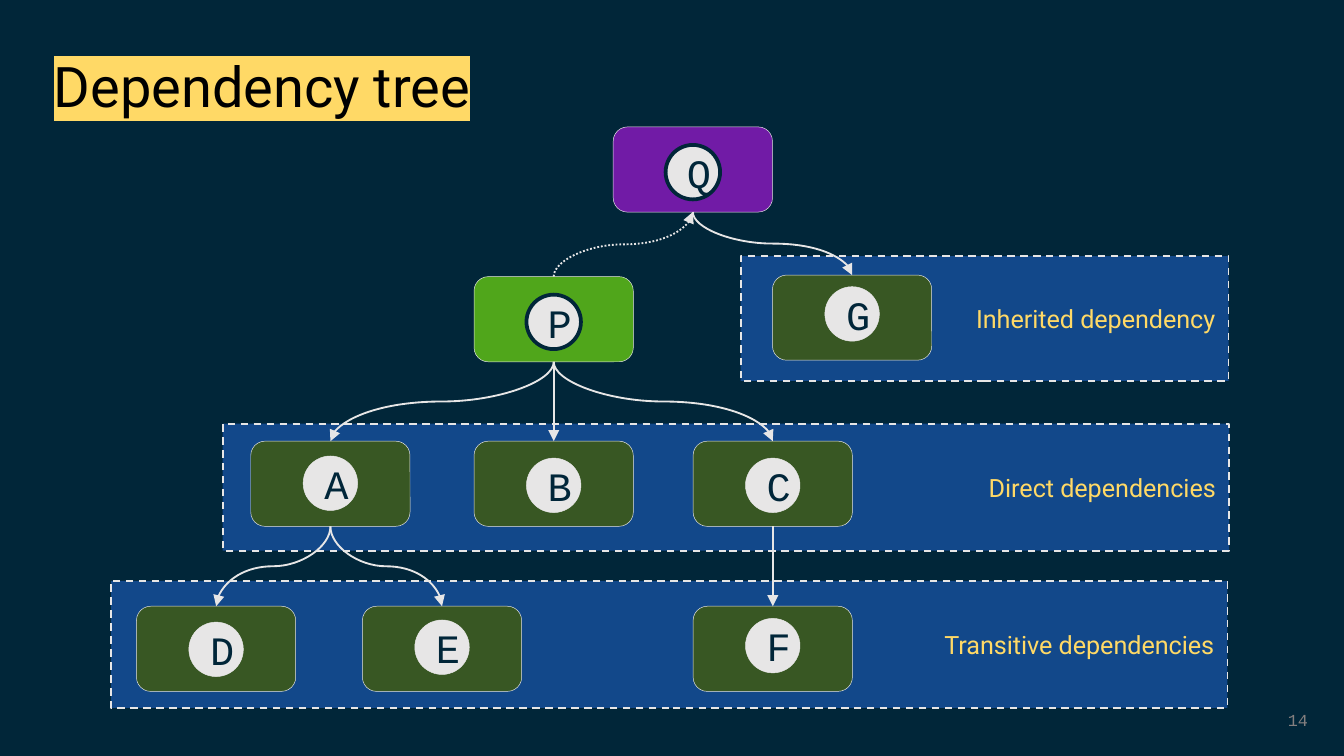
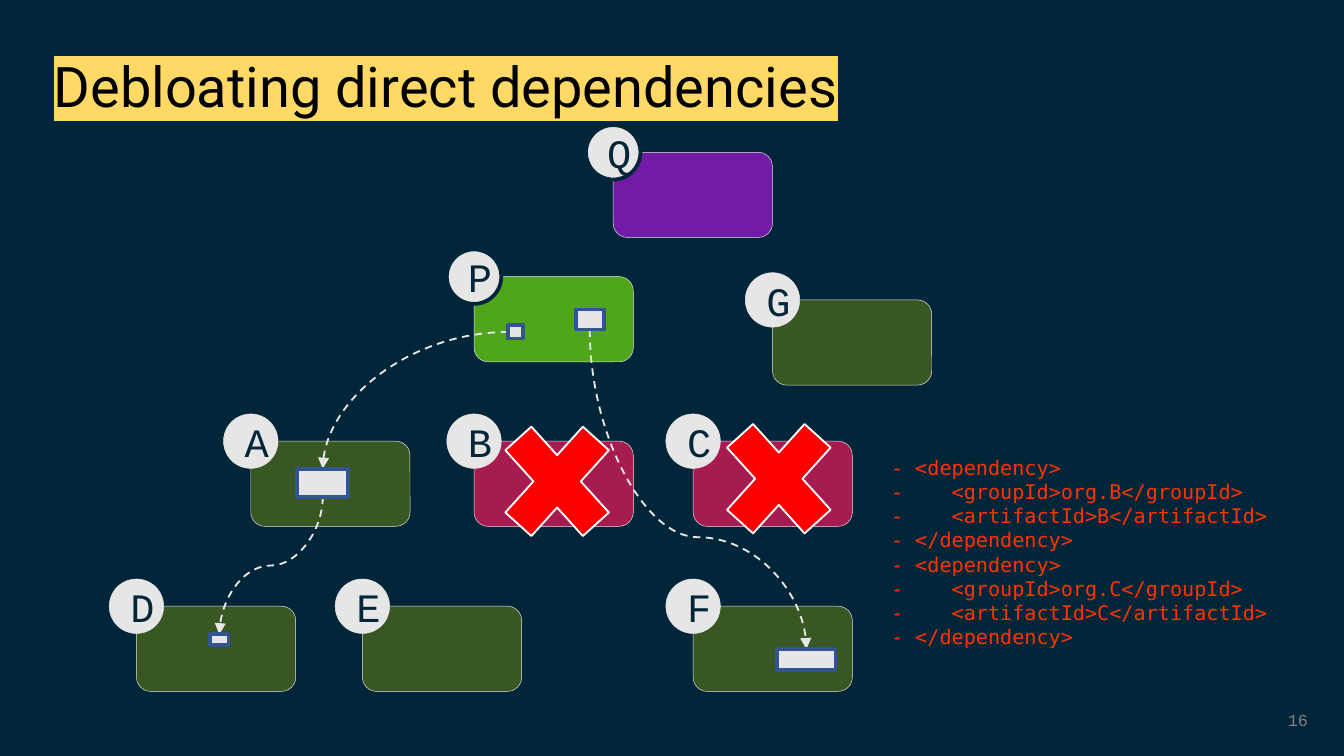
from dataclasses import dataclass, replace

from lxml.etree import SubElement
from pptx import Presentation
from pptx.dml.color import RGBColor
from pptx.enum.dml import MSO_LINE
from pptx.enum.shapes import MSO_CONNECTOR, MSO_SHAPE
from pptx.enum.text import MSO_ANCHOR, MSO_AUTO_SIZE, PP_ALIGN
from pptx.oxml.ns import qn
from pptx.util import Cm, Pt

NAVY = RGBColor(0x01, 0x26, 0x39)
BAND_BLUE = RGBColor(0x19, 0x54, 0xA6)
FRAME_BLUE = RGBColor(0x32, 0x54, 0x91)
LIGHT = RGBColor(0xE7, 0xE6, 0xE6)
YELLOW = RGBColor(0xFF, 0xD9, 0x66)
GREY = RGBColor(0x84, 0x7F, 0x7F)
BLACK = RGBColor(0x00, 0x00, 0x00)
WHITE = RGBColor(0xFF, 0xFF, 0xFF)
RED = RGBColor(0xFF, 0x00, 0x00)
CODE_RED = RGBColor(0xFF, 0x33, 0x00)
PURPLE = RGBColor(0x71, 0x1B, 0xA6)
GREEN = RGBColor(0x50, 0xA6, 0x1B)
OLIVE = RGBColor(0x38, 0x57, 0x23)
CRIMSON = RGBColor(0xA6, 0x1B, 0x50)

SANS = "Roboto"
MONO = "Courier New"
CODE = "DejaVu Sans Mono"
CARD_WIDTH, CARD_HEIGHT = 3.01, 1.61
BADGE = 1.03


@dataclass(frozen=True)
class Area:
    left: float
    top: float
    width: float
    height: float

    @property
    def center(self) -> float:
        return self.left + self.width / 2

    @property
    def middle(self) -> float:
        return self.top + self.height / 2

    @property
    def bottom(self) -> float:
        return self.top + self.height

    def lengths(self) -> list:
        return [Cm(value) for value in (self.left, self.top, self.width, self.height)]


@dataclass(frozen=True)
class Card:
    left: float
    top: float
    badge_drop: float
    fill: RGBColor = OLIVE

    @property
    def area(self) -> Area:
        return Area(self.left, self.top, CARD_WIDTH, CARD_HEIGHT)


CARDS = {
    "Q": Card(11.59, 2.4, 0.34, PURPLE),
    "P": Card(8.96, 5.23, 0.34, GREEN),
    "G": Card(14.6, 5.2, 0.22),
    "A": Card(4.74, 8.34, 0.28),
    "B": Card(8.96, 8.34, 0.32),
    "C": Card(13.1, 8.34, 0.32),
    "D": Card(2.58, 11.46, 0.3),
    "E": Card(6.85, 11.46, 0.26),
    "F": Card(13.1, 11.46, 0.23),
}
DEBLOATED = CARDS | {
    "Q": replace(CARDS["Q"], top=2.88),
    "G": replace(CARDS["G"], top=5.67),
    "B": replace(CARDS["B"], fill=CRIMSON),
    "C": replace(CARDS["C"], fill=CRIMSON),
}
BANDS = {
    "Transitive dependencies": Area(2.1, 10.98, 21.1, 2.4),
    "Inherited dependency": Area(14, 4.84, 9.22, 2.36),
    "Direct dependencies": Area(4.21, 8.01, 19.02, 2.4),
}
EDGES = ["PA", "PB", "PC", "AD", "AE", "CF", "QG"]
WINDOWS = {
    "A": Area(5.62, 8.86, 0.96, 0.53),
    "P to A": Area(9.6, 6.15, 0.28, 0.25),
    "D": Area(3.97, 11.99, 0.35, 0.2),
    "P to F": Area(10.88, 5.85, 0.53, 0.38),
    "F": Area(14.69, 12.27, 1.1, 0.4),
}
CROSSES = [Area(9.12, 7.54, 2.82, 3.12), Area(13.31, 7.49, 2.82, 3.12)]


def format_runs(paragraph, size: float, name: str, color: RGBColor) -> None:
    for span in paragraph.runs:
        span.font.size = Pt(size)
        span.font.name = name
        span.font.color.rgb = color


def style_line(line, color: RGBColor, width: float, dash=None) -> None:
    line.color.rgb = color
    line.width = Pt(width)
    if dash is not None:
        line.dash_style = dash


def add_figure(page, kind, area: Area, fill: RGBColor, line: RGBColor, width: float, dash=None):
    box = page.shapes.add_shape(kind, *area.lengths())
    box.shadow.inherit = False
    box.fill.solid()
    box.fill.fore_color.rgb = fill
    style_line(box.line, line, width, dash)
    return box


def set_label(box, text: str, size: float, name: str, color: RGBColor, align) -> None:
    box.text_frame.text = text
    box.text_frame.word_wrap = True
    box.text_frame.vertical_anchor = MSO_ANCHOR.MIDDLE
    paragraph = box.text_frame.paragraphs[0]
    paragraph.alignment = align
    format_runs(paragraph, size, name, color)


def add_page(deck, title: str, number: str):
    page = deck.slides.add_slide(deck.slide_layouts[5])
    heading = page.shapes.title
    heading.left, heading.top, heading.width, heading.height = Area(0.76, 0.99, 18.57, 1.37).lengths()
    set_label(heading, title, 30, SANS, BLACK, PP_ALIGN.LEFT)
    heading.text_frame.vertical_anchor = MSO_ANCHOR.TOP
    heading.text_frame.auto_size = MSO_AUTO_SIZE.NONE
    paragraph = heading.text_frame.paragraphs[0]
    paragraph.line_spacing = 0.9
    properties = paragraph.runs[0].font._element
    highlight = SubElement(properties, qn("a:highlight"))
    SubElement(highlight, qn("a:srgbClr"), val=str(YELLOW))
    properties.find(qn("a:solidFill")).addnext(highlight)
    footer = page.shapes.add_textbox(*Area(19.25, 13.23, 5.72, 0.76).lengths())
    set_label(footer, number, 9, MONO, GREY, PP_ALIGN.RIGHT)
    return page


def add_band(page, text: str, area: Area) -> None:
    band = add_figure(page, MSO_SHAPE.RECTANGLE, area, BAND_BLUE, LIGHT, 1, MSO_LINE.DASH)
    color = band._element.spPr.find(qn("a:solidFill")).find(qn("a:srgbClr"))
    SubElement(color, qn("a:alpha"), val="75000")
    set_label(band, text, 13.5, SANS, YELLOW, PP_ALIGN.RIGHT)


def add_cards(page, cards: dict[str, Card], badge_at_corner: bool) -> None:
    for name, card in cards.items():
        area = card.area
        add_figure(page, MSO_SHAPE.ROUNDED_RECTANGLE, area, card.fill, LIGHT, 0.25)
        if badge_at_corner:
            spot = Area(area.left - BADGE / 2, area.top - BADGE / 2, BADGE, BADGE)
        else:
            spot = Area(area.center - BADGE / 2, area.top + card.badge_drop, BADGE, BADGE)
        outline, width = (NAVY, 2) if name in "PQ" else (LIGHT, 0.25)
        badge = add_figure(page, MSO_SHAPE.OVAL, spot, LIGHT, outline, width)
        set_label(badge, name, 21.6, MONO, NAVY, PP_ALIGN.CENTER)


def finish_arrow(connector, dash) -> None:
    style_line(connector.line, LIGHT, 1, dash)
    properties = connector._element.spPr
    SubElement(properties.find(qn("a:ln")), qn("a:tailEnd"), type="triangle")
    SubElement(properties, qn("a:effectLst"))


def add_arrow(page, start: tuple[float, float], end: tuple[float, float], dash=None, bend: float = 0.5) -> None:
    (x1, y1), (x2, y2) = start, end
    across, down = x2 - x1, y2 - y1
    if abs(across) < 0.01:
        finish_arrow(page.shapes.add_connector(
            MSO_CONNECTOR.STRAIGHT, Cm(x1), Cm(y1), Cm(x2), Cm(y2)), dash)
        return
    width, height = abs(down), abs(across)
    left, top = (x1 + x2 - width) / 2, (y1 + y2 - height) / 2
    connector = page.shapes.add_connector(
        MSO_CONNECTOR.CURVE, Cm(left), Cm(top), Cm(left + width), Cm(top + height))
    properties = connector._element.spPr
    frame = properties.find(qn("a:xfrm"))
    if down > 0 and across > 0:
        frame.set("rot", str(270 * 60000))
        frame.set("flipH", "1")
    else:
        frame.set("rot", str(90 * 60000))
        if down < 0:
            frame.set("flipH", "1")
            frame.set("flipV", "1")
    guides = properties.find(qn("a:prstGeom")).find(qn("a:avLst"))
    SubElement(guides, qn("a:gd"), name="adj1", fmla=f"val {round(bend * 100000)}")
    finish_arrow(connector, dash)


def add_quarter_arrow(page, start: tuple[float, float], end: tuple[float, float], dash=None) -> None:
    (x1, y1), (x2, y2) = start, end
    connector = page.shapes.add_connector(MSO_CONNECTOR.CURVE, Cm(x2), Cm(y1), Cm(x1), Cm(y2))
    properties = connector._element.spPr
    frame = properties.find(qn("a:xfrm"))
    frame.set("rot", str(180 * 60000))
    frame.set("flipV", "1")
    properties.find(qn("a:prstGeom")).set("prst", "curvedConnector2")
    finish_arrow(connector, dash)


def link_down(page, upper: Area, lower: Area, dash=None, bend: float = 0.5) -> None:
    add_arrow(page, (upper.center, upper.bottom), (lower.center, lower.top), dash, bend)


def add_removed_code(page, artifacts: str) -> None:
    box = page.shapes.add_textbox(*Area(16.59, 8.48, 7.72, 3.91).lengths())
    frame = box.text_frame
    frame.word_wrap = True
    for index, name in enumerate(artifacts):
        paragraph = frame.add_paragraph() if index else frame.paragraphs[0]
        paragraph.text = "\n".join([
            "- <dependency>",
            f"-    <groupId>org.{name}</groupId>",
            f"-    <artifactId>{name}</artifactId>",
            "- </dependency>",
        ])
        format_runs(paragraph, 10.8, CODE, CODE_RED)


def build_tree(deck) -> None:
    page = add_page(deck, "Dependency tree", "14")
    for text, area in BANDS.items():
        add_band(page, text, area)
    add_cards(page, CARDS, badge_at_corner=False)
    for parent, child in EDGES:
        link_down(page, CARDS[parent].area, CARDS[child].area)
    project, ancestor = CARDS["P"].area, CARDS["Q"].area
    add_arrow(page, (project.center, project.top), (ancestor.center, ancestor.bottom), MSO_LINE.ROUND_DOT)


def build_debloating(deck) -> None:
    page = add_page(deck, "Debloating direct dependencies", "16")
    add_cards(page, DEBLOATED, badge_at_corner=True)
    caller, target = WINDOWS["P to A"], WINDOWS["A"]
    add_quarter_arrow(page, (caller.left, caller.middle), (target.center, target.top), MSO_LINE.DASH)
    link_down(page, target, WINDOWS["D"], MSO_LINE.DASH)
    link_down(page, WINDOWS["P to F"], WINDOWS["F"], MSO_LINE.DASH, 0.65)
    for window in WINDOWS.values():
        add_figure(page, MSO_SHAPE.RECTANGLE, window, LIGHT, FRAME_BLUE, 2)
    add_removed_code(page, "BC")
    for cross in CROSSES:
        add_figure(page, MSO_SHAPE.MATH_MULTIPLY, cross, RED, WHITE, 1)


def main() -> None:
    deck = Presentation()
    deck.slide_width, deck.slide_height = Cm(25.4), Cm(14.29)
    background = deck.slide_master.background.fill
    background.solid()
    background.fore_color.rgb = NAVY
    build_tree(deck)
    build_debloating(deck)
    deck.save("out.pptx")


if __name__ == "__main__":
    main()
